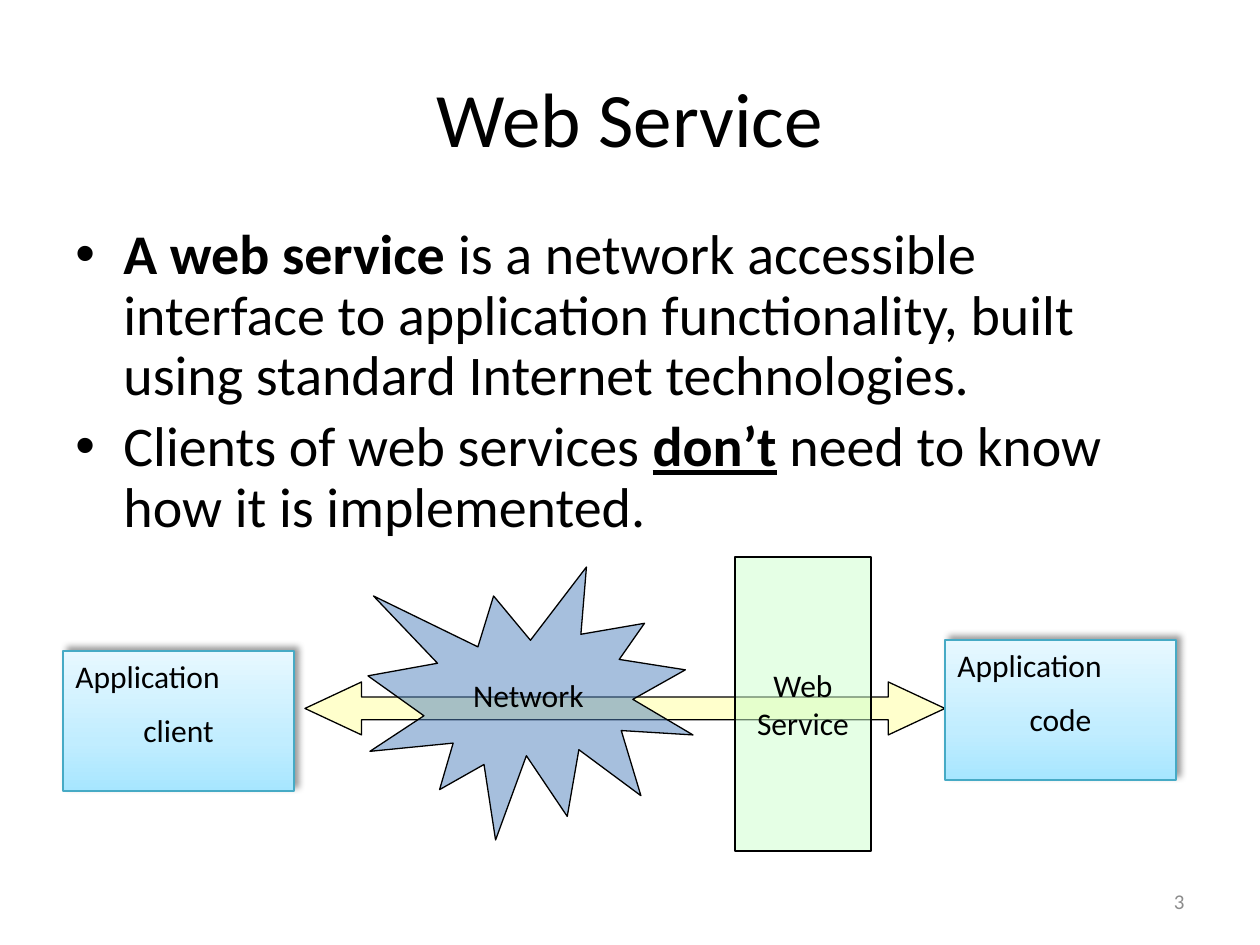
import pptx
import pptx.util
import pptx.dml.color
import pptx.enum.shapes
import pptx.enum.text
import pptx.oxml.ns
import lxml.etree
from dataclasses import dataclass

Pt = pptx.util.Pt
qn = pptx.oxml.ns.qn
Kind = pptx.enum.shapes.MSO_SHAPE
Align = pptx.enum.text.PP_ALIGN
Anchor = pptx.enum.text.MSO_ANCHOR
SCALE = 914400 / 126


def px(n):
    return round(n * SCALE)


def rgb(code):
    return pptx.dml.color.RGBColor.from_string(code)


def sub(node, tag, **attrs):
    return lxml.etree.SubElement(node, qn(tag), attrs)


@dataclass(frozen=True)
class Theme:
    font: str = "Calibri"
    ink: str = "000000"
    gray: str = "8C8C8C"
    arrow: str = "FFFFCC"
    net: str = "4F81BD"
    web: str = "CCFFCC"
    edge: str = "46AAC5"
    blend: tuple = ((0, "A7E6FF"), (35, "C1EDFF"), (100, "E7F8FF"))
    title: int = 44
    body: int = 32
    label: int = 18
    foot: int = 12
    line: float = 0.75


class Deck:
    def __init__(self, theme):
        self.theme = theme
        self.prs = pptx.Presentation()
        self.prs.slide_width, self.prs.slide_height = px(1260), px(945)
        self.slide = self.prs.slides.add_slide(self.prs.slide_layouts[6])

    def style(self, para, size, color=None, align=Align.LEFT):
        para.alignment = align
        font = para.font
        font.name, font.size = self.theme.font, Pt(size)
        font.color.rgb = rgb(color or self.theme.ink)

    def fill_in(self, frame, lines, size, aligns, color=None, gap=0):
        for i, (line, align) in enumerate(zip(lines, aligns)):
            para = frame.paragraphs[0] if i == 0 else frame.add_paragraph()
            para.text = line
            self.style(para, size, color, align)
            para.space_before = Pt(gap if i else 0)

    def frame(self, box):
        frame = self.slide.shapes.add_textbox(*map(px, box)).text_frame
        frame.word_wrap = True
        return frame

    def text(self, box, line, size, align, color=None):
        frame = self.frame(box)
        frame.vertical_anchor = Anchor.MIDDLE
        self.fill_in(frame, [line], size, [align], color)

    def bullets(self, box, items):
        frame = self.frame(box)
        for i, item in enumerate(items):
            para = frame.paragraphs[0] if i == 0 else frame.add_paragraph()
            props = para._p.get_or_add_pPr()
            props.set("marL", str(px(48)))
            props.set("indent", str(-px(48)))
            sub(props, "a:buFont", typeface="Arial")
            sub(props, "a:buChar", char="•")
            self.style(para, self.theme.body)
            para.line_spacing = 0.9
            para.space_before = Pt(6 if i else 0)
            for words, bold, under in item:
                run = para.add_run()
                run.text = words
                run.font.bold, run.font.underline = bold, under

    def shape(self, kind, box, fill=None, line=None, alpha=None):
        shape = self.slide.shapes.add_shape(kind, *map(px, box))
        shape.shadow.inherit = False
        shape.line.color.rgb = rgb(line or self.theme.ink)
        shape.line.width = Pt(self.theme.line)
        if fill:
            shape.fill.solid()
            shape.fill.fore_color.rgb = rgb(fill)
        if alpha:
            tint = shape._element.spPr.find(qn("a:solidFill"))[0]
            sub(tint, "a:alpha", val=str(alpha * 1000))
        return shape

    def glass(self, kind, box, fill, lines):
        shape = self.shape(kind, box, fill, alpha=50)
        frame = shape.text_frame
        frame.word_wrap = False
        frame.vertical_anchor = Anchor.MIDDLE
        aligns = [Align.CENTER] * len(lines)
        self.fill_in(frame, lines, self.theme.label, aligns)

    def card(self, box, lines):
        shape = self.shape(Kind.RECTANGLE, box, line=self.theme.edge)
        # Gradient from bottom to top
        shape.fill.gradient()
        shape.fill.gradient_angle = 90
        props = shape._element.spPr
        stops = next(props.iter(qn("a:gsLst")))
        for stop in list(stops):
            stops.remove(stop)
        for pos, code in self.theme.blend:
            stop = sub(stops, "a:gs", pos=str(pos * 1000))
            sub(stop, "a:srgbClr", val=code)
        # Soft shadow to the upper right
        shade = sub(props.find(qn("a:effectLst")), "a:outerShdw",
                    blurRad=str(int(Pt(4))), dist=str(int(Pt(3))),
                    dir=str(315 * 60000), algn="ctr", rotWithShape="0")
        tint = sub(shade, "a:srgbClr", val=self.theme.ink)
        sub(tint, "a:alpha", val="40000")
        frame = shape.text_frame
        frame.word_wrap = True
        frame.vertical_anchor = Anchor.TOP
        self.fill_in(frame, lines, self.theme.label,
                     [Align.LEFT, Align.CENTER], gap=9)


def main():
    look = Theme()
    deck = Deck(look)

    # Title, bullets and page number
    deck.text((63, 38, 1134, 158), "Web Service", look.title, Align.CENTER)
    deck.bullets((63, 220, 1134, 672), [
        [("A web service ", True, False),
         ("is a network accessible interface to application functionality, "
          "built using standard Internet technologies.", False, False)],
        [("Clients of web services ", False, False),
         ("don’t", True, True),
         (" need to know how it is implemented.", False, False)],
    ])
    deck.text((903, 876, 294, 50), "3", look.foot, Align.RIGHT, look.gray)

    # Two-way arrow behind the parts
    arrow = deck.shape(Kind.LEFT_RIGHT_ARROW, (305, 682, 640, 53), look.arrow)
    arrow.adjustments[0] = 0.43
    arrow.adjustments[1] = 1.07

    # Application ends
    for left, top, role in ((63, 651, "client"), (945, 640, "code")):
        deck.card((left, top, 231, 140), ["Application", role])

    # Network and service in between
    deck.glass(Kind.EXPLOSION1, (368, 567, 325, 273), look.net, ["Network"])
    deck.glass(Kind.RECTANGLE, (735, 557, 136, 294), look.web,
               ["Web", "Service"])

    deck.prs.save("out.pptx")


if __name__ == "__main__":
    main()
